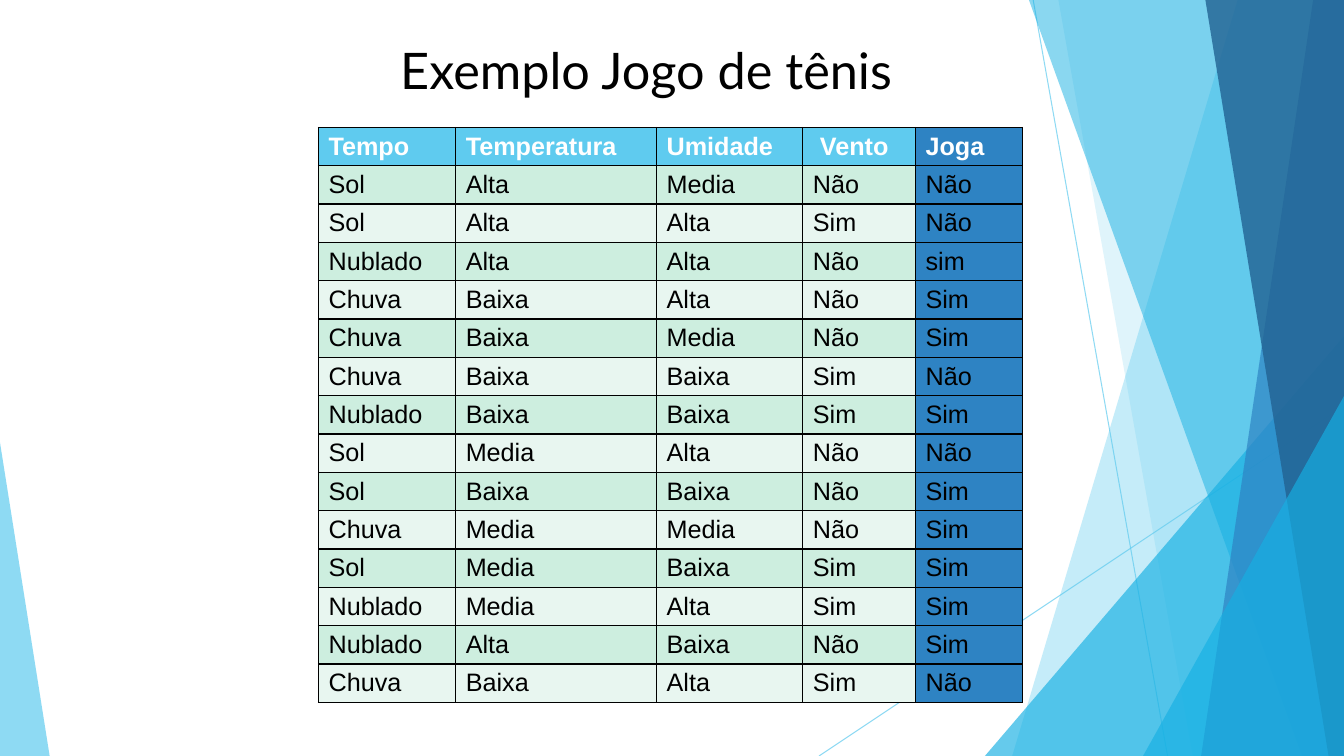
import pptx
import pptx.util
import pptx.dml.color
import pptx.enum.shapes
import pptx.enum.text
import pptx.oxml
import pptx.oxml.ns

Pt = pptx.util.Pt
RGB = pptx.dml.color.RGBColor.from_string
WIDTH, HEIGHT = 960, 540
COLORS = {
    "sky": "5FCBEF", "cyan": "16B0E3", "blue": "2E83C3", "navy": "226292",
    "mint": "CDEEDF", "pale": "E8F6F0", "black": "000000", "white": "FFFFFF",
}


def add_alpha(color_owner, percent):
    """Make the solid colour inside a shape or connector partly transparent."""
    color = color_owner._element.spPr.find(".//" + pptx.oxml.ns.qn("a:srgbClr"))
    color.append(pptx.oxml.parse_xml(
        f'<a:alpha {pptx.oxml.ns.nsdecls("a")} val="{percent * 1000}"/>'))


def paint_facet(facet, color, opacity):
    facet.shadow.inherit = False
    facet.fill.solid()
    facet.fill.fore_color.rgb = RGB(COLORS[color])
    add_alpha(facet, opacity)
    facet.line.fill.background()


prs = pptx.Presentation()
prs.slide_width, prs.slide_height = Pt(WIDTH), Pt(HEIGHT)
slide = prs.slides.add_slide(prs.slide_layouts[5])
shapes = slide.shapes

# Thin lines behind the facets
for ends in [(738, 0, 834, HEIGHT), (WIDTH, 290, 585, HEIGHT)]:
    ray = shapes.add_connector(
        pptx.enum.shapes.MSO_CONNECTOR.STRAIGHT, *[Pt(v) for v in ends])
    ray.line.color.rgb = RGB(COLORS["sky"])
    ray.line.width = Pt(0.75)
    add_alpha(ray, 70)
    ray._element.spPr.append(pptx.oxml.parse_xml(
        f'<a:effectLst {pptx.oxml.ns.nsdecls("a")}/>'))

# Facets from back to front: bands reach the right edge, peaks stand on the bottom
facets = [
    ("band", (884, 723), "sky", 36),
    ("band", (756, 852), "sky", 20),
    ("peak", (703.5, 240, 256.5, 1), "cyan", 66),
    ("band", (735, 929.5), "cyan", 50),
    ("band", (938, 858), "blue", 70),
    ("band", (861, 949), "navy", 80),
    ("peak", (816.5, 283, 143.5, 1), "cyan", 66),
    ("peak", (0, 316, 35.5, 0), "sky", 70),
]
for kind, place, color, opacity in facets:
    if kind == "band":
        top_x, bottom_x = place
        outline = shapes.build_freeform(top_x, 0, scale=Pt(1))
        outline.add_line_segments(
            [(WIDTH, 0), (WIDTH, HEIGHT), (bottom_x, HEIGHT)], close=True)
        facet = outline.convert_to_shape()
    else:
        left, top, width, apex = place
        facet = shapes.add_shape(
            pptx.enum.shapes.MSO_SHAPE.ISOSCELES_TRIANGLE,
            Pt(left), Pt(top), Pt(width), Pt(HEIGHT - top))
        facet.adjustments[0] = apex
    paint_facet(facet, color, opacity)

# Title
title = shapes.title
title_place = {"left": 123, "top": 24, "width": 677, "height": 104}
for side, value in title_place.items():
    setattr(title, side, Pt(value))
title.text_frame.text = "Exemplo Jogo de tênis"
title.text_frame.vertical_anchor = pptx.enum.text.MSO_ANCHOR.TOP
heading = title.text_frame.paragraphs[0]
heading.alignment = pptx.enum.text.PP_ALIGN.CENTER
heading.font.name = "Lato"
heading.font.size = Pt(36)
heading.font.color.rgb = RGB(COLORS["black"])

# Table of games
games = [
    ("Tempo", "Temperatura", "Umidade", " Vento", "Joga"),
    ("Sol", "Alta", "Media", "Não", "Não"),
    ("Sol", "Alta", "Alta", "Sim", "Não"),
    ("Nublado", "Alta", "Alta", "Não", "sim"),
    ("Chuva", "Baixa", "Alta", "Não", "Sim"),
    ("Chuva", "Baixa", "Media", "Não", "Sim"),
    ("Chuva", "Baixa", "Baixa", "Sim", "Não"),
    ("Nublado", "Baixa", "Baixa", "Sim", "Sim"),
    ("Sol", "Media", "Alta", "Não", "Não"),
    ("Sol", "Baixa", "Baixa", "Não", "Sim"),
    ("Chuva", "Media", "Media", "Não", "Sim"),
    ("Sol", "Media", "Baixa", "Sim", "Sim"),
    ("Nublado", "Media", "Alta", "Sim", "Sim"),
    ("Nublado", "Alta", "Baixa", "Não", "Sim"),
    ("Chuva", "Baixa", "Alta", "Sim", "Não"),
]
column_widths = [98, 143.5, 104.5, 80.5, 76.5]
row_height = 26
table = shapes.add_table(
    len(games), len(column_widths), Pt(227.5), Pt(91),
    Pt(sum(column_widths)), Pt(row_height * len(games))).table
for column, width in zip(table.columns, column_widths):
    column.width = Pt(width)

for r, game in enumerate(games):
    table.rows[r].height = Pt(row_height)
    for c, value in enumerate(game):
        cell = table.cell(r, c)
        for border in ("lnL", "lnR", "lnT", "lnB"):
            cell._tc.get_or_add_tcPr().append(pptx.oxml.parse_xml(
                f'<a:{border} {pptx.oxml.ns.nsdecls("a")} w="{Pt(1)}"><a:solidFill>'
                f'<a:srgbClr val="{COLORS["black"]}"/></a:solidFill></a:{border}>'))
        if c == len(game) - 1:
            background = "blue"
        elif r == 0:
            background = "sky"
        else:
            background = "mint" if r % 2 else "pale"
        cell.fill.solid()
        cell.fill.fore_color.rgb = RGB(COLORS[background])
        cell.text = value
        font = cell.text_frame.paragraphs[0].font
        for attribute, setting in {"name": "Arial", "size": Pt(18), "bold": r == 0}.items():
            setattr(font, attribute, setting)
        font.color.rgb = RGB(COLORS["black" if r else "white"])

prs.save("out.pptx")
